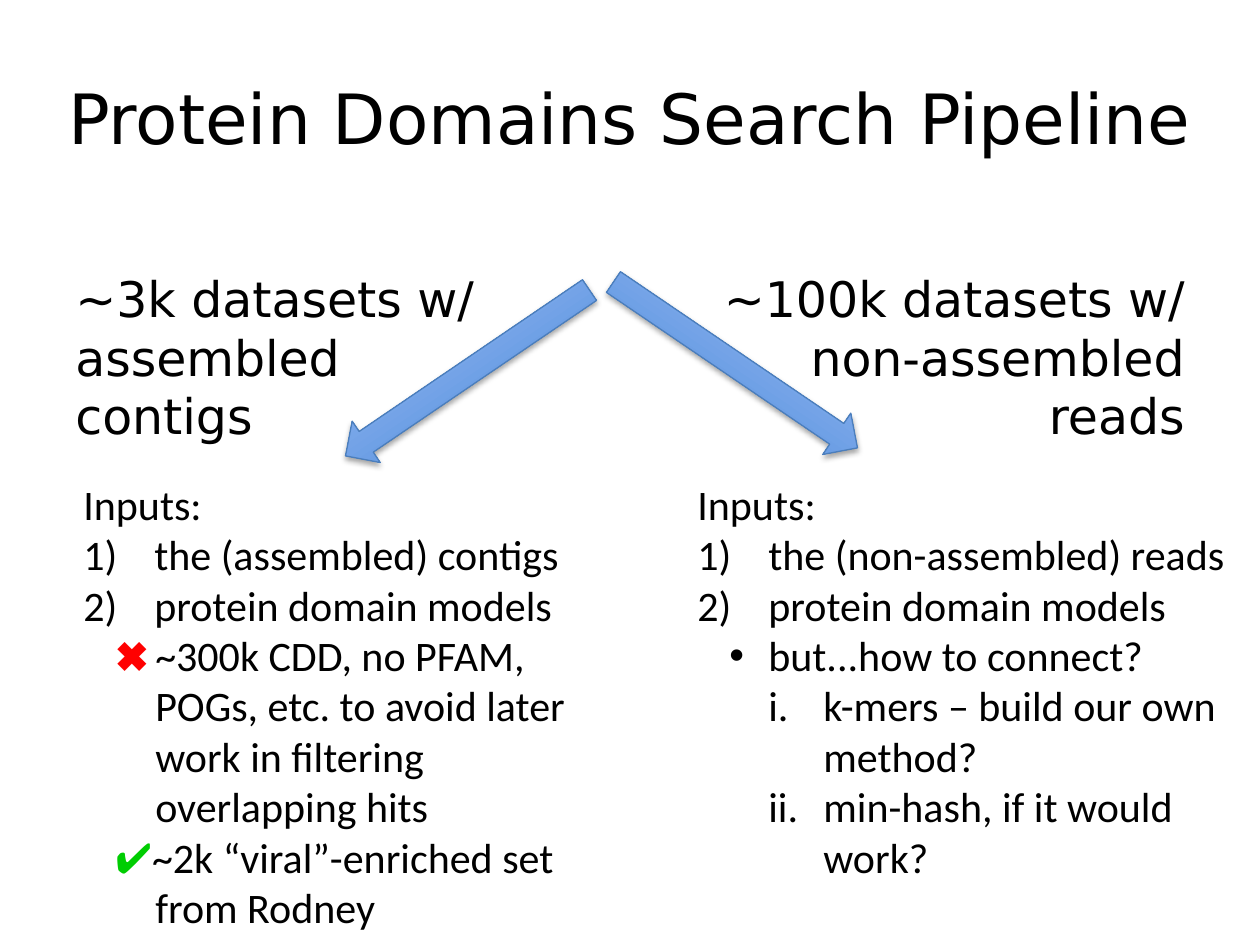
from lxml.etree import SubElement
from pptx import Presentation
from pptx.dml.color import RGBColor
from pptx.enum.shapes import MSO_SHAPE
from pptx.enum.text import MSO_ANCHOR, MSO_AUTO_SIZE, PP_ALIGN
from pptx.oxml.ns import qn
from pptx.util import Emu, Pt

COLORS = {
    "text": "000000",
    "cross": "FF0000",
    "check": "00CD02",
    "arrow_dark": "3F80CE",
    "arrow_light": "A4C4FF",
    "arrow_line": "4B7EBC",
}
INDENTS = {
    "plain": (0, 0),
    "number": (71, -71),
    "mark": (72, -40),
    "bullet": (71, -39),
    "roman": (126, -55),
}
LEVELS = {"mark": 1, "bullet": 1, "roman": 2}
NUMBERING = {"number": "arabicParenR", "roman": "romanLcPeriod"}


def px(n):
    return Emu(round(n * 914400 / 126))


def rgb(name):
    return RGBColor.from_string(COLORS[name])


class Deck:
    heading_font = "DejaVu Sans"
    body_font = "Calibri"
    symbol_font = "Arial"
    body_size = 24

    def __init__(self, width, height):
        self.prs = Presentation()
        self.prs.slide_width, self.prs.slide_height = px(width), px(height)
        self.slide = self.prs.slides.add_slide(self.prs.slide_layouts[6])

    def style(self, r, font, size, color="text"):
        r.font.name, r.font.size = font, Pt(size)
        r.font.color.rgb = rgb(color)

    def box(self, *at):
        tf = self.slide.shapes.add_textbox(*map(px, at)).text_frame
        tf.word_wrap = True
        return tf

    def heading(self, text, at, size, align, anchor=MSO_ANCHOR.TOP):
        tf = self.box(*at)
        tf.text = text
        tf.vertical_anchor = anchor
        p = tf.paragraphs[0]
        p.alignment = align
        self.style(p.runs[0], self.heading_font, size)

    def outline(self, at, items):
        tf = self.box(*at)
        tf.auto_size = MSO_AUTO_SIZE.SHAPE_TO_FIT_TEXT
        for i, (kind, text, *mark) in enumerate(items):
            p = tf.add_paragraph() if i else tf.paragraphs[0]
            p.level = LEVELS.get(kind, 0)
            self.indent(p, kind)
            if mark:
                r = p.add_run()
                r.text = mark[0]
                self.style(r, self.symbol_font, self.body_size, mark[1])
            r = p.add_run()
            r.text = text
            self.style(r, self.body_font, self.body_size)

    def indent(self, p, kind):
        pPr = p._p.get_or_add_pPr()
        left, first = INDENTS[kind]
        pPr.set("marL", str(px(left)))
        pPr.set("indent", str(px(first)))
        if kind in NUMBERING:
            SubElement(pPr, qn("a:buAutoNum"), type=NUMBERING[kind])
        elif kind == "bullet":
            SubElement(pPr, qn("a:buFont"), typeface=self.symbol_font)
            SubElement(pPr, qn("a:buChar"), char="•")

    def arrow(self, at, rotation, flip=False):
        s = self.slide.shapes.add_shape(MSO_SHAPE.LEFT_ARROW, *map(px, at))
        s.rotation = rotation
        if flip:
            s._element.spPr.find(qn("a:xfrm")).set("flipH", "1")
        s.fill.gradient()
        s.fill.gradient_angle = 90
        for stop, position, color in zip(
            s.fill.gradient_stops, (0, 1), ("arrow_dark", "arrow_light")
        ):
            stop.position = position
            stop.color.rgb = rgb(color)
        s.line.color.rgb = rgb("arrow_line")
        s.line.width = Pt(0.75)
        self.drop_shadow(s)

    def drop_shadow(self, s):
        s.shadow.inherit = False
        effects = s._element.spPr.find(qn("a:effectLst"))
        shadow = SubElement(
            effects, qn("a:outerShdw"), blurRad="40000", dist="23000",
            dir="5400000", rotWithShape="0",
        )
        color = SubElement(shadow, qn("a:srgbClr"), val=COLORS["text"])
        SubElement(color, qn("a:alpha"), val="35000")


def main():
    deck = Deck(1260, 945)
    deck.heading("Protein Domains Search Pipeline", (19, 38, 1222, 158),
                 39.6, PP_ALIGN.CENTER, MSO_ANCHOR.MIDDLE)
    deck.heading("~3k datasets w/ assembled contigs", (63, 262, 456, 190),
                 28, PP_ALIGN.LEFT)
    deck.heading("~100k datasets w/ non-assembled reads", (697, 262, 500, 190),
                 28, PP_ALIGN.RIGHT)
    deck.outline((71, 472, 556, 471), [
        ("plain", "Inputs:"),
        ("number", "the (assembled) contigs"),
        ("number", "protein domain models"),
        ("mark", "~300k CDD, no PFAM, POGs, etc. to avoid later work in "
                 "filtering overlapping hits", "✖\t", "cross"),
        ("mark", "~2k “viral”-enriched set from Rodney", "✔", "check"),
    ])
    deck.arrow((320, 348, 295, 50), 325.8)
    deck.arrow((588, 340, 295, 50), 34.2, flip=True)
    deck.outline((685, 472, 556, 420), [
        ("plain", "Inputs:"),
        ("number", "the (non-assembled) reads"),
        ("number", "protein domain models"),
        ("bullet", "but...how to connect?"),
        ("roman", "k-mers – build our own method?"),
        ("roman", "min-hash, if it would work?"),
    ])
    deck.prs.save("out.pptx")


if __name__ == "__main__":
    main()
